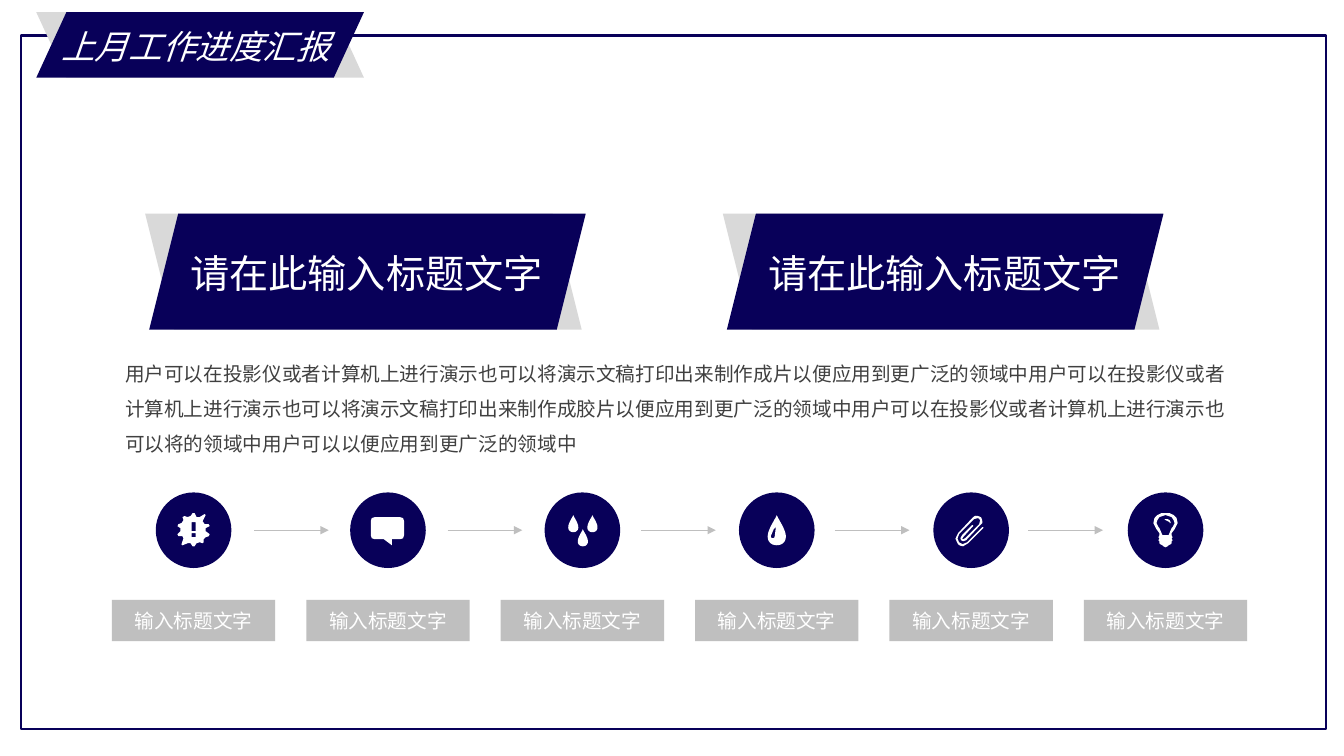
"""Build the monthly progress slide with two banners and a six-step icon row."""
from dataclasses import dataclass
from math import cos, pi, sin

from lxml.etree import SubElement
from pptx import Presentation
from pptx.dml.color import RGBColor
from pptx.enum.shapes import MSO_CONNECTOR as Connector, MSO_SHAPE as Preset
from pptx.enum.text import MSO_ANCHOR as Anchor, MSO_AUTO_SIZE as AutoSize, PP_ALIGN as Align
from pptx.oxml.ns import qn
from pptx.shapes.autoshape import Shape
from pptx.slide import Slide
from pptx.util import Inches, Pt

NAVY = RGBColor(0x08, 0x00, 0x59)
WHITE = RGBColor(0xFF, 0xFF, 0xFF)
PALE = RGBColor(0xD9, 0xD9, 0xD9)
GREY = RGBColor(0xBF, 0xBF, 0xBF)
INK = RGBColor(0x40, 0x40, 0x40)
LATIN = "Arial"
HAN = "Noto Sans CJK SC"

Outline = list[tuple[float, float]]
Area = tuple[float, float, float, float]

FIRST_CENTRE = 1.92
PITCH = 9.64 / 5
ICON_Y = 5.26
DISC = 0.75
LABEL_WIDTH, LABEL_HEIGHT, LABEL_TOP = 1.62, 0.41, 5.95
ARROW_START, ARROW_PITCH, ARROW_LENGTH = 2.52, 1.92, 0.74
BODY = (
    "用户可以在投影仪或者计算机上进行演示也可以将演示文稿打印出来制作成片以便应用到更广泛的领域中"
    "用户可以在投影仪或者计算机上进行演示也可以将演示文稿打印出来制作成胶片以便应用到更广泛的领域中"
    "用户可以在投影仪或者计算机上进行演示也可以将的领域中用户可以以便应用到更广泛的领域中"
)


@dataclass
class Banner:
    """Slanted title plate with its pale mirrored back."""
    back: Area
    front_left: float
    slant: float
    text: str
    text_area: Area
    size: int
    italic: bool = False


@dataclass
class Step:
    """One icon and the label under it; outlines are in hundredths of an inch."""
    icon: list[Outline]
    label: str = "输入标题文字"


def box_outline(left: float, top: float, right: float, bottom: float) -> Outline:
    """Return the corners of a rectangle."""
    return [(left, top), (right, top), (right, bottom), (left, bottom)]


def drop_outline(tip_x: float, top: float, width: float, height: float) -> Outline:
    """Return a teardrop whose tip points up."""
    angles = [2 * pi * i / 40 for i in range(40)]
    return [(tip_x + width / 1.4 * sin(a) * sin(a / 2) ** 1.5,
             top + height * (1 - cos(a)) / 2) for a in angles]


def mirrored(right_half: Outline) -> Outline:
    """Close a right half with its reflection."""
    return right_half + [(-x, y) for x, y in reversed(right_half)]


BURST = [
    (16, 4), (12, 1), (12, -2), (16, -4), (15, -6), (11, -6), (9, -9), (12, -15),
    (11, -16), (6, -13), (3, -13), (1, -17), (-1, -17), (-3, -14), (-6, -13), (-9, -14),
    (-11, -13), (-10, -10), (-12, -7), (-15, -6), (-16, -4), (-13, -2), (-13, 1), (-16, 4),
    (-15, 6), (-11, 6), (-10, 8), (-12, 14), (-11, 15), (-6, 13), (-3, 13), (-1, 16),
    (1, 16), (3, 13), (6, 12), (9, 13), (10, 12), (10, 9), (12, 7), (15, 6),
]
BUBBLE = [
    (-13, -13), (12, -13), (15, -12), (16, -9), (16, 5), (15, 8), (12, 9), (4, 9),
    (4, 15), (-4, 9), (-13, 9), (-16, 8), (-17, 5), (-17, -9), (-16, -12),
]
DROP_GLINT = [(-1, -3), (-1, -2), (-2, 6), (-2.5, 7.5), (-4, 8), (-5.5, 7.5), (-6, 6), (-3, -1)]
CLIP = [
    (-8, 16), (-10.8, 15.4), (-13, 14), (-15.6, 8.5), (-13, 3), (2, -13), (4.1, -14.3),
    (7, -14), (9.8, -12.8), (11, -10), (11.1, -7.1), (9, -5), (-5, 10), (-8, 11), (-10, 10),
    (-10.6, 7.9), (-9, 5), (1, -5), (2, -5), (2, -4), (-8, 7), (-9, 9), (-8, 9), (-6, 8),
    (8, -6), (9, -10), (7, -12), (3, -11), (-12, 4), (-13.5, 8.4), (-12, 12), (-8.4, 13.9),
    (-4, 12), (11, -3), (12, -3), (12, -2), (-3, 13),
]
BULB = mirrored([
    (0, -17), (4, -17), (8, -15), (11, -12), (12, -7), (9, -1), (6, 3), (6, 5), (7, 7),
    (6, 8), (7, 10), (6, 11), (6, 13), (5, 14), (3, 15), (2, 16), (0, 17),
])
BULB_HOLE = mirrored([(0, -15), (3, -14), (6, -13), (8, -10), (9, -7), (7, -3), (6, -2), (3, 5)])
BULB_GLINT = [(0, -11), (-1, -10.5), (0, -10), (2, -9), (4, -8), (4, -7), (5, -7), (5, -8),
              (4, -10), (2, -11)]

STEPS = [
    Step([BURST, box_outline(-2, -8, 2, 1), box_outline(-2, 3, 2, 7)]),
    Step([BUBBLE]),
    Step([drop_outline(x, y, 10, 17) for x, y in ((-9, -15), (10, -15), (0.5, -1))]),
    Step([drop_outline(0, -15, 18, 30), DROP_GLINT]),
    Step([CLIP]),
    Step([BULB, BULB_HOLE, BULB_GLINT]),
]
BANNERS = [Banner((0.36, 0.12, 3.25, 0.65), 0.36, 0.46, "上月工作进度汇报",
                  (0.51, 0.21, 2.89, 0.5), 24, True)]
BANNERS += [Banner((left, 2.12, 4.33, 1.15), left + 0.04, 0.25, "请在此输入标题文字",
                   (left + 0.35, 2.42, 3.74, 0.57), 28) for left in (1.44, 7.17)]


def add_plate(page: Slide, preset: Preset, area: Area, fill: RGBColor) -> Shape:
    """Add a borderless filled preset shape."""
    plate = page.shapes.add_shape(preset, *map(Inches, area))
    plate.shadow.inherit = False
    plate.fill.solid()
    plate.fill.fore_color.rgb = fill
    plate.line.fill.background()
    return plate


def write(box: Shape, text: str, font: str, size: int, color: RGBColor, wrap: bool = False,
          italic: bool = False, align: Align = Align.LEFT, spacing: float = 1.0) -> None:
    """Write one paragraph into a shape."""
    box.text_frame.word_wrap = wrap
    para = box.text_frame.paragraphs[0]
    para.text = text
    para.alignment = align
    para.line_spacing = spacing
    para.font.name, para.font.size, para.font.italic = font, Pt(size), italic
    para.font.color.rgb = color


def set_insets(box: Shape, side: float, end: float) -> None:
    """Set the inner margins of a text shape."""
    frame = box.text_frame
    frame.margin_left = frame.margin_right = Inches(side)
    frame.margin_top = frame.margin_bottom = Inches(end)


def add_banner(page: Slide, banner: Banner) -> None:
    """Draw a banner and its title."""
    back = add_plate(page, Preset.PARALLELOGRAM, banner.back, PALE)
    back.element.spPr.find(qn("a:xfrm")).set("flipH", "1")
    front = add_plate(page, Preset.PARALLELOGRAM, (banner.front_left, *banner.back[1:]), NAVY)
    back.adjustments[0] = front.adjustments[0] = banner.slant
    title = page.shapes.add_textbox(*map(Inches, banner.text_area))
    write(title, banner.text, LATIN, banner.size, WHITE, italic=banner.italic)
    title.text_frame.auto_size = AutoSize.SHAPE_TO_FIT_TEXT


def add_icon(page: Slide, outlines: list[Outline], centre: float) -> None:
    """Draw white outlines around a centre; inner ones become holes."""
    scaled = [[(x * 10, y * 10) for x, y in outline] for outline in outlines]
    builder = page.shapes.build_freeform(*scaled[0][0], scale=Inches(1) / 1000)
    for outline in scaled:
        builder.move_to(*outline[0])
        builder.add_line_segments(outline[1:], close=True)
    icon = builder.convert_to_shape(Inches(centre), Inches(ICON_Y))
    icon.shadow.inherit = False
    icon.fill.solid()
    icon.fill.fore_color.rgb = WHITE
    icon.line.fill.background()


def add_step(page: Slide, step: Step, centre: float) -> None:
    """Draw a disc with its icon and label."""
    add_plate(page, Preset.OVAL, (centre - DISC / 2, ICON_Y - DISC / 2, DISC, DISC), NAVY)
    add_icon(page, step.icon, centre)
    area = (centre - LABEL_WIDTH / 2, LABEL_TOP, LABEL_WIDTH, LABEL_HEIGHT)
    label = add_plate(page, Preset.RECTANGLE, area, GREY)
    set_insets(label, 0.03, 0.03)
    label.text_frame.vertical_anchor = Anchor.MIDDLE
    write(label, step.label, HAN, 14, WHITE, align=Align.CENTER)


def add_arrow(page: Slide, start: float) -> None:
    """Draw a thin arrow between two discs."""
    y = Inches(ICON_Y)
    arrow = page.shapes.add_connector(
        Connector.STRAIGHT, Inches(start), y, Inches(start + ARROW_LENGTH), y)
    arrow.line.color.rgb = GREY
    arrow.line.width = Pt(0.25)
    SubElement(arrow.line._get_or_add_ln(), qn("a:tailEnd"), type="triangle")
    SubElement(arrow._element.spPr, qn("a:effectLst"))


def main() -> None:
    """Build and save the deck."""
    deck = Presentation()
    deck.slide_width, deck.slide_height = Inches(13.33), Inches(7.5)
    page = deck.slides.add_slide(deck.slide_layouts[6])
    frame = add_plate(page, Preset.RECTANGLE, (0.21, 0.35, 12.94, 6.88), WHITE)
    frame.fill.background()
    frame.line.color.rgb = NAVY
    frame.line.width = Pt(1.75)
    for banner in BANNERS:
        add_banner(page, banner)
    body = page.shapes.add_textbox(*map(Inches, (1.17, 3.43, 11.2, 1.08)))
    set_insets(body, 0.07, 0.04)
    write(body, BODY, HAN, 14, INK, wrap=True, spacing=1.5)
    for i, step in enumerate(STEPS):
        add_step(page, step, FIRST_CENTRE + i * PITCH)
    for i in range(len(STEPS) - 1):
        add_arrow(page, ARROW_START + i * ARROW_PITCH)
    deck.save("out.pptx")


if __name__ == "__main__":
    main()
